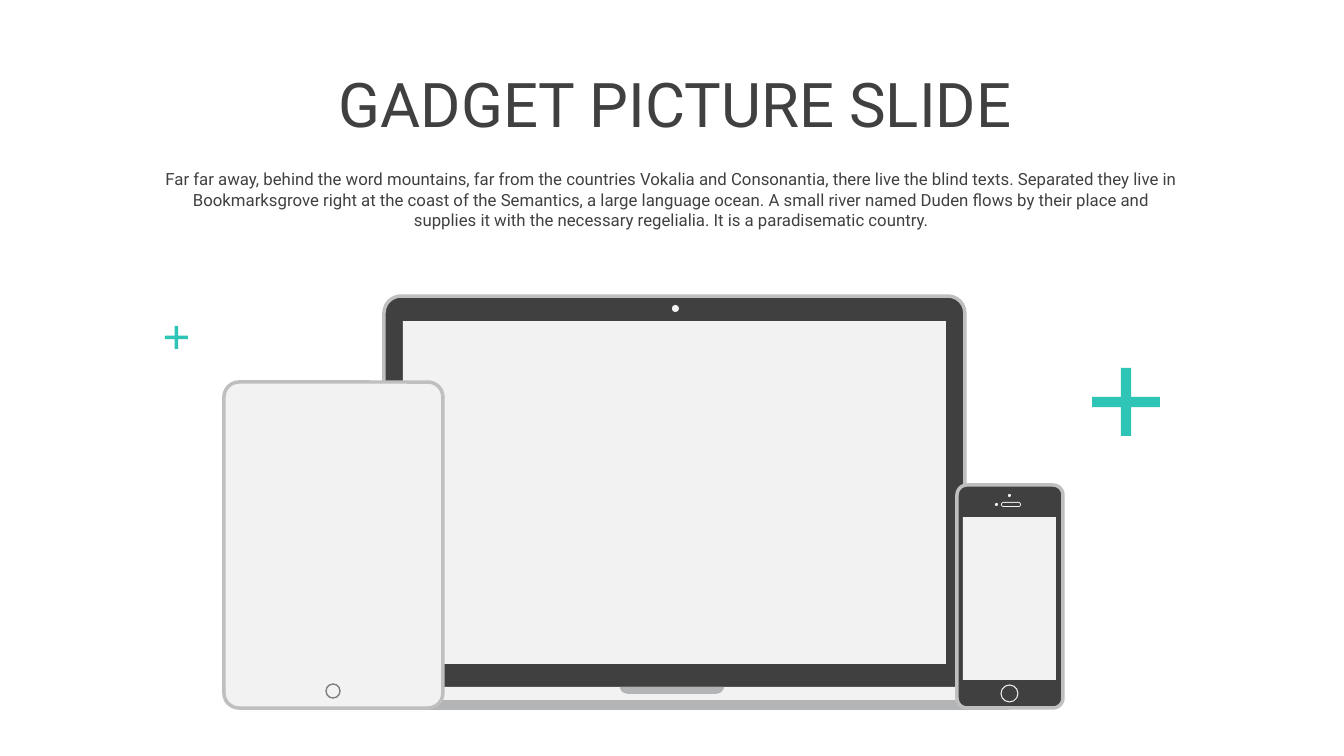
from dataclasses import dataclass
from math import cos, pi, sin

from pptx import Presentation
from pptx.dml.color import RGBColor
from pptx.enum.shapes import MSO_SHAPE
from pptx.enum.text import MSO_ANCHOR, MSO_AUTO_SIZE, PP_ALIGN
from pptx.util import Emu, Pt

RECT, ROUND = MSO_SHAPE.RECTANGLE, MSO_SHAPE.ROUNDED_RECTANGLE
OVAL, CROSS = MSO_SHAPE.OVAL, MSO_SHAPE.CROSS
TOP, CENTER, FIXED = MSO_ANCHOR.TOP, PP_ALIGN.CENTER, MSO_AUTO_SIZE.NONE
SCALE = 914400 / 100.8


@dataclass(frozen=True)
class Theme:
    dark: str = "404040"
    light: str = "F2F2F2"
    edge: str = "BFBFBF"
    metal: str = "B3B4B5"
    ring: str = "808080"
    teal: str = "2EC4B6"
    font: str = "Roboto"
    title: int = 44
    body: int = 12


@dataclass(frozen=True)
class Part:
    kind: int
    box: tuple[int, int, int, int]
    fill: str | None = None
    line: str | None = None
    width: float = 2.5
    adj: float | None = None


@dataclass(frozen=True)
class Lip:
    """A flat bar whose lower corners curve inward."""
    box: tuple[int, int, int, int]
    drop: int
    run: int
    fill: str


THEME = Theme()


def px(size: float) -> Emu:
    return Emu(round(size * SCALE))


def paint(shape, fill: str | None, line: str | None = None, width: float = 0) -> None:
    shape.shadow.inherit = False
    for target, color in ((shape.fill, fill), (shape.line.fill, line)):
        if color:
            target.solid()
            target.fore_color.rgb = RGBColor.from_string(color)
        else:
            target.background()
    if line:
        shape.line.width = Pt(width)


def draw_part(shapes, part: Part) -> None:
    shape = shapes.add_shape(part.kind, *map(px, part.box))
    if part.adj is not None:
        shape.adjustments[0] = part.adj
    paint(shape, part.fill, part.line, part.width)


def draw_lip(shapes, lip: Lip) -> None:
    x, y, w, h = lip.box
    turns = [step * pi / 16 for step in range(9)]
    curve = [(lip.run * (1 - cos(t)), lip.drop + (h - lip.drop) * sin(t)) for t in turns]
    right = [(x + w - dx, y + dy) for dx, dy in curve]
    left = [(x + dx, y + dy) for dx, dy in reversed(curve)]
    pen = shapes.build_freeform(px(x), px(y))
    pen.add_line_segments([(px(a), px(b)) for a, b in [(x + w, y), *right, *left]])
    paint(pen.convert_to_shape(), lip.fill)


def draw(shapes, items: list[Part | Lip]) -> None:
    for item in items:
        if isinstance(item, Lip):
            draw_lip(shapes, item)
        else:
            draw_part(shapes, item)


def case(x: int, y: int, w: int, h: int, radius: int, fill: str) -> Part:
    return Part(ROUND, (x, y, w, h), fill, THEME.edge, adj=radius / min(w, h))


def dot(x: int, y: int, size: int) -> Part:
    return Part(OVAL, (x, y, size, size), THEME.light)


def plus(x: int, y: int, size: int) -> Part:
    return Part(CROSS, (x, y, size, size), THEME.teal, adj=0.425)


def write(holder, text: str, box: tuple[int, int, int, int], size: int, wrap: bool) -> None:
    holder.left, holder.top, holder.width, holder.height = map(px, box)
    frame = holder.text_frame
    frame.text = text
    para = frame.paragraphs[0]
    font = para.runs[0].font
    formats = (
        (frame, {"word_wrap": wrap, "auto_size": FIXED, "vertical_anchor": TOP}),
        (para, {"alignment": CENTER, "space_before": Pt(0), "line_spacing": 1.0}),
        (font, {"name": THEME.font, "size": Pt(size)}),
    )
    for target, values in formats:
        for name, value in values.items():
            setattr(target, name, value)
    font.color.rgb = RGBColor.from_string(THEME.dark)


LAPTOP = [
    Lip((311, 693, 722, 17), 6, 32, THEME.metal),
    case(384, 296, 581, 396, 17, THEME.dark),
    Part(RECT, (311, 687, 722, 13), THEME.light),
    Lip((620, 687, 104, 7), 0, 9, THEME.metal),
    Part(RECT, (403, 321, 543, 343), THEME.light),
    dot(672, 305, 7),
]
PHONE = [
    case(957, 485, 106, 223, 10, THEME.dark),
    dot(1008, 494, 3),
    Part(OVAL, (1001, 685, 17, 17), line=THEME.light, width=0.75),
    Part(RECT, (963, 517, 93, 163), THEME.light),
    Part(ROUND, (1001, 502, 20, 5), THEME.light, adj=0.5),
    Part(ROUND, (1002, 503, 18, 3), THEME.dark, adj=0.5),
    dot(995, 503, 3),
]
TABLET = [
    case(224, 382, 219, 326, 15, THEME.light),
    Part(OVAL, (326, 684, 14, 14), line=THEME.ring, width=1),
]
ACCENTS = [plus(1092, 368, 68), plus(165, 326, 23)]

deck = Presentation()
deck.slide_width, deck.slide_height = px(1344), px(756)
slide = deck.slides.add_slide(deck.slide_layouts[0])

# Heading and text
title, body = slide.placeholders
write(title, "GADGET PICTURE SLIDE", (291, 61, 769, 85), THEME.title, False)
write(
    body,
    "Far far away, behind the word mountains, far from the countries Vokalia and "
    "Consonantia, there live the blind texts. Separated they live in Bookmarksgrove "
    "right at the coast of the Semantics, a large language ocean. A small river named "
    "Duden flows by their place and supplies it with the necessary regelialia. "
    "It is a paradisematic country.",
    (153, 164, 1037, 72), THEME.body, True,
)

# Devices, back to front
for device in (LAPTOP, PHONE, TABLET):
    draw(slide.shapes.add_group_shape().shapes, device)

# Accents
draw(slide.shapes, ACCENTS)

deck.save("out.pptx")
